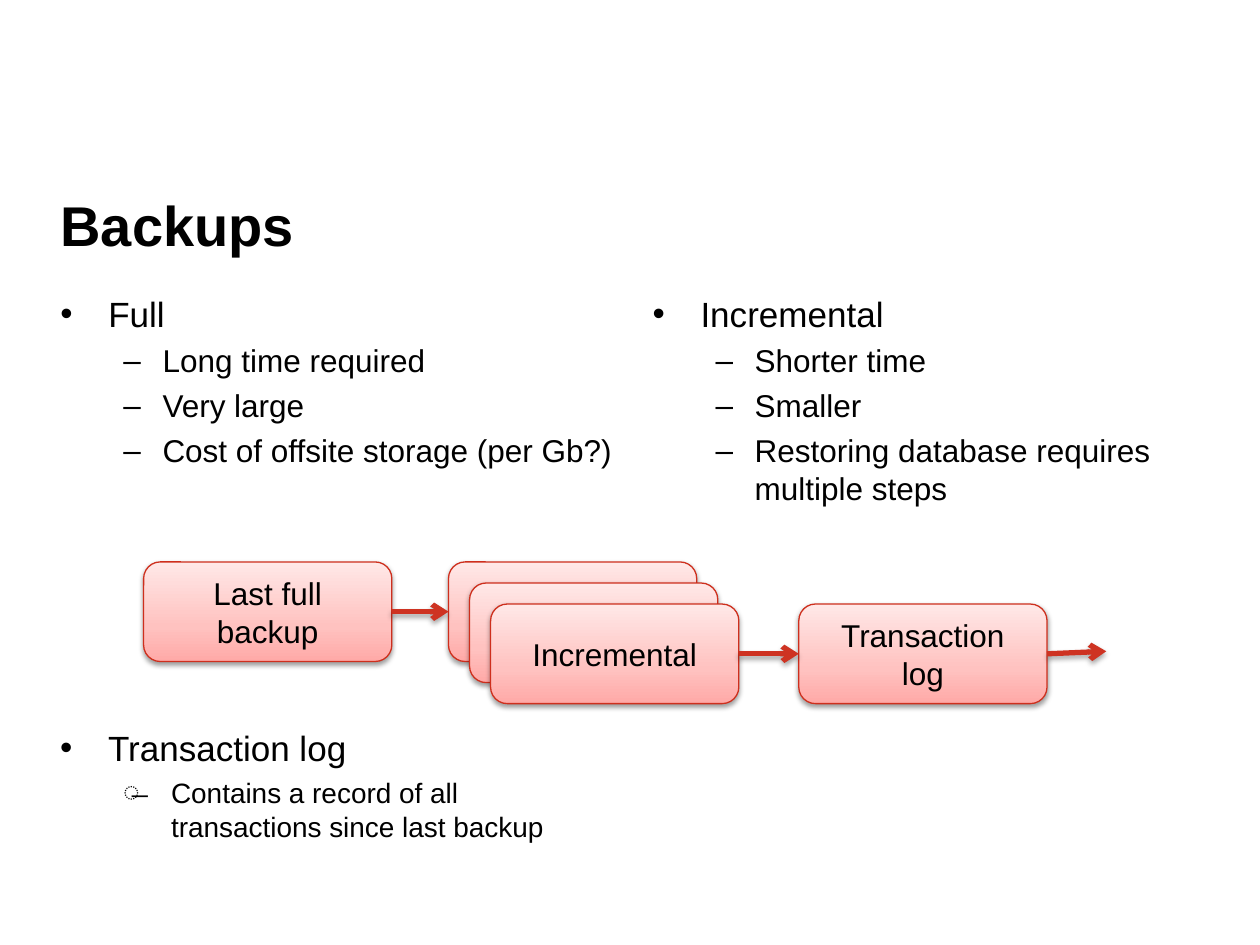
from dataclasses import dataclass

from lxml import etree
from pptx import Presentation
from pptx import util as u
from pptx.dml import color
from pptx.enum import shapes, text
from pptx.oxml import ns, parse_xml


@dataclass(frozen=True)
class Theme:
    """Colours, font and type sizes of the slide."""
    font: str = "Arial"
    ink: str = "000000"
    edge: str = "CE2F1D"
    arrow: str = "CE3322"
    stops: tuple = ((0, "FFA9A7"), (35, "FFC2C0"), (100, "FFE8E7"))
    title: int = 32
    head: int = 20
    item: int = 18
    note: int = 16


T = Theme()
LEFT, ALIGN = text.PP_ALIGN.LEFT, text.PP_ALIGN.CENTER
CARD_W, CARD_H, STEP = 1.97, 0.79, 0.167


def make(xml):
    """Parse a DrawingML fragment."""
    return parse_xml(xml.replace(">", f" {ns.nsdecls('a')}>", 1))


def place(shape, box):
    """Move a shape to a box given in inches."""
    shape.left, shape.top, shape.width, shape.height = map(u.Inches, box)


def write(par, words, size=T.item, bold=False, align=LEFT):
    """Put one formatted run in a paragraph."""
    par.alignment = align
    run = par.add_run()
    run.text = words
    font = run.font
    font.name, font.size, font.bold = T.font, u.Pt(size), bold
    font.color.rgb = color.RGBColor.from_string(T.ink)


def bullet(par, mark, indent, hang):
    """Give a paragraph a bullet and a hanging indent."""
    props = par._p.get_or_add_pPr()
    props.set("marL", str(u.Inches(indent)))
    props.set("indent", str(-u.Inches(hang)))
    props.append(make(f'<a:buFont typeface="{T.font}"></a:buFont>'))
    props.append(make(f'<a:buChar char="{mark}"></a:buChar>'))


def fill_list(shape, box, head, items, size=T.item, mark="–", indent=0.81, hang=0.31):
    """Place a headed list in a box."""
    place(shape, box)
    frame = shape.text_frame
    frame.word_wrap, frame.auto_size = True, text.MSO_AUTO_SIZE.NONE
    rows = [(head, T.head, 0, "•", 0.38, 0.38)]
    rows += [(item, size, 1, mark, indent, hang) for item in items]
    for i, (words, pts, level, sign, left, back) in enumerate(rows):
        par = frame.add_paragraph() if i else frame.paragraphs[0]
        par.level, par.space_before = level, u.Pt(round(pts * 0.23, 1))
        write(par, words, size=pts)
        bullet(par, sign, left, back)


def shade(shape, alpha, dist):
    """Add a soft shadow straight below a shape."""
    props = shape._element.spPr
    for old in props.findall(ns.qn("a:effectLst")):
        props.remove(old)
    props.append(make(
        f'<a:effectLst><a:outerShdw blurRad="{u.Pt(3.1)}" dist="{u.Pt(dist)}" '
        f'dir="5400000" rotWithShape="0"><a:srgbClr val="{T.ink}">'
        f'<a:alpha val="{alpha * 1000}"/></a:srgbClr></a:outerShdw></a:effectLst>'))


def card(slide, left, top, words):
    """Draw a rounded card with a gradient and centred text."""
    shape = slide.shapes.add_shape(
        shapes.MSO_SHAPE.ROUNDED_RECTANGLE,
        *map(u.Inches, (left, top, CARD_W, CARD_H)))
    shape.fill.gradient()
    shape.fill.gradient_angle = 90
    stops = shape._element.spPr.find(".//" + ns.qn("a:gsLst"))
    for old in list(stops):
        stops.remove(old)
    for pos, tint in T.stops:
        stops.append(make(f'<a:gs pos="{pos * 1000}"><a:srgbClr val="{tint}"/></a:gs>'))
    shape.line.color.rgb = color.RGBColor.from_string(T.edge)
    shape.line.width = u.Pt(0.75)
    shade(shape, 38, 1.6)
    frame = shape.text_frame
    frame.word_wrap, frame.vertical_anchor = True, text.MSO_ANCHOR.MIDDLE
    write(frame.paragraphs[0], words, align=ALIGN)


def arrow(slide, start, end):
    """Draw an arrow between two points."""
    link = slide.shapes.add_connector(
        shapes.MSO_CONNECTOR.STRAIGHT, *map(u.Inches, start + end))
    link.line.color.rgb = color.RGBColor.from_string(T.arrow)
    link.line.width = u.Pt(3)
    tail = etree.SubElement(link.line._get_or_add_ln(), ns.qn("a:tailEnd"))
    tail.set("type", "arrow")
    shade(link, 35, 1.8)


def chain(slide, left, top):
    """Draw the backup chain from its top left corner."""
    stack, log, low = left + 2.42, left + 5.2, top + 2 * STEP
    card(slide, left, top, "Last full backup")
    for i in range(3):
        card(slide, stack + i * STEP, top + i * STEP, "Incremental")
    card(slide, log, low, "Transaction log")
    mid, base = top + CARD_H / 2, low + CARD_H / 2
    arrow(slide, (left + CARD_W, mid), (stack, mid))
    arrow(slide, (stack + 2 * STEP + CARD_W, base), (log, base))
    arrow(slide, (log + CARD_W, base), (log + CARD_W + 0.47, base - 0.02))


def heading(shape, box, words):
    """Place the slide title."""
    place(shape, box)
    frame = shape.text_frame
    frame.auto_size = text.MSO_AUTO_SIZE.NONE
    frame.vertical_anchor = text.MSO_ANCHOR.MIDDLE
    write(frame.paragraphs[0], words, size=T.title, bold=True)


def build():
    """Build and save the slide."""
    deck = Presentation()
    deck.slide_width, deck.slide_height = u.Inches(10), u.Inches(7.5)
    slide = deck.slides.add_slide(deck.slide_layouts[3])
    title, full, part = slide.placeholders
    heading(title, (0.38, 1.4, 9.24, 0.76), "Backups")
    fill_list(full, (0.38, 2.27, 4.78, 3.21), "Full",
              ["Long time required", "Very large", "Cost of offsite storage (per Gb?)"])
    fill_list(part, (5.08, 2.27, 4.54, 2.5), "Incremental",
              ["Shorter time", "Smaller", "Restoring database requires multiple steps"])
    chain(slide, 1.14, 4.46)
    log = slide.shapes.add_textbox(0, 0, 0, 0)
    fill_list(log, (0.38, 5.72, 4.54, 1.32), "Transaction log",
              ["Contains a record of all transactions since last backup"],
              size=T.note, mark="\u0336", indent=0.88, hang=0.38)
    deck.save("out.pptx")


build()
